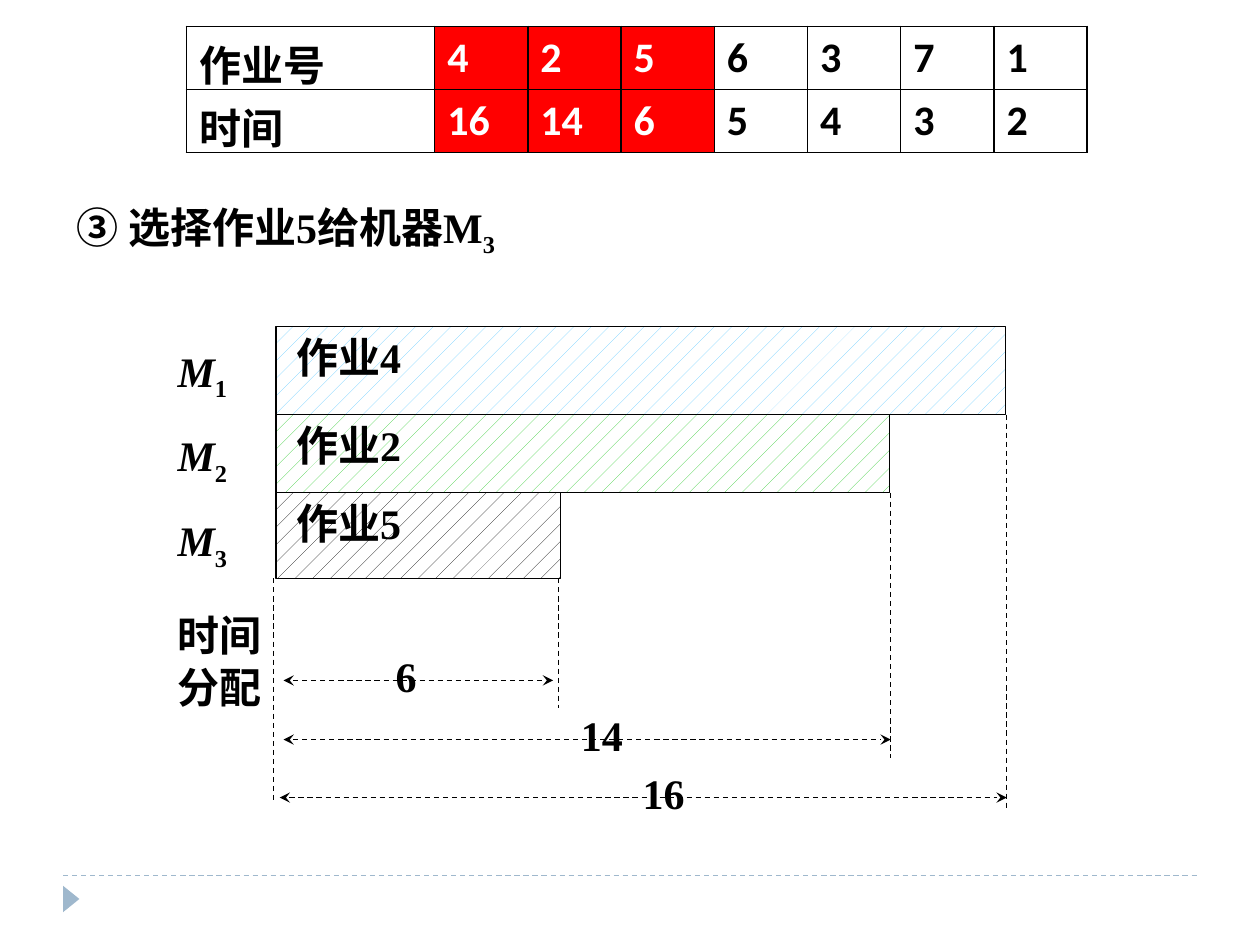
"""Build the slide that assigns job 5 to machine M3."""
import pptx
import pptx.util
import pptx.dml.color
import pptx.enum.dml
import pptx.enum.shapes
import pptx.enum.text
import pptx.oxml
import pptx.oxml.ns

TABLE = [("作业号", "4", "2", "5", "6", "3", "7", "1"),
         ("时间", "16", "14", "6", "5", "4", "3", "2")]
DONE = range(1, 4)
HEADING = [("③ 选择作业5给机器M", {}), ("3", {"sub": True})]
MACHINES = ["1", "2", "3"]
TIME_LABEL = ["时间", "分配"]
JOBS = [
    dict(name="作业4", time="16", color="sky", width=5.79, height=0.7,
         drop=(7.99, 6.41), arrow=(2.22, 7.99, 6.33), label=5.1),
    dict(name="作业2", time="14", color="green", width=4.87, height=0.62,
         drop=(7.07, 6.02), arrow=(2.25, 7.07, 5.87), label=4.61),
    dict(name="作业5", time="6", color="black", width=2.26, height=0.68,
         drop=(4.43, 5.62), arrow=(2.25, 4.39, 5.4), label=3.14),
]
COLORS = {"black": "000000", "white": "FFFFFF", "red": "FF0000",
          "sky": "66CCFF", "green": "33CC33", "rule": "9FB8CD"}
SERIF, SANS = "Times New Roman", "Calibri"
BAR_LEFT, BAR_TOP = 2.19, 2.59
inch, pt = pptx.util.Inches, pptx.util.Pt
ALIGN = pptx.enum.text.PP_ALIGN
SHAPE = pptx.enum.shapes.MSO_SHAPE


def rgb(name):
    return pptx.dml.color.RGBColor.from_string(COLORS[name])


def add_xml(parent, tag, **attrs):
    el = pptx.oxml.parse_xml(f'<a:{tag} {pptx.oxml.ns.nsdecls("a")}/>')
    for key, value in attrs.items():
        el.set(key, value)
    parent.append(el)
    return el


def add_run(p, text, font=SERIF, color="black", sub=False, italic=False):
    r = p.add_run()
    r.text = text
    r.font.name, r.font.size, r.font.bold = font, pt(24), True
    r.font.italic = italic
    r.font.color.rgb = rgb(color)
    if sub:
        r.font._element.set("baseline", "-25000")


def set_insets(tf, left=0, top=0):
    tf.margin_left, tf.margin_top = inch(left), inch(top)
    tf.margin_right = tf.margin_bottom = 0


def add_text(s, left, top, width, height):
    tf = s.shapes.add_textbox(*map(inch, (left, top, width, height))).text_frame
    tf.word_wrap = True
    return tf


def add_line(s, x1, y1, x2, y2, color="black", arrows=False):
    kind = pptx.enum.shapes.MSO_CONNECTOR.STRAIGHT
    line = s.shapes.add_connector(kind, *map(inch, (x1, y1, x2, y2)))
    line.line.color.rgb = rgb(color)
    line.line.width = pt(0.75)
    line.line.dash_style = pptx.enum.dml.MSO_LINE.DASH
    if arrows:
        for end in ("headEnd", "tailEnd"):
            add_xml(line.line._get_or_add_ln(), end, type="stealth")
    add_xml(line._element.spPr, "effectLst")


def add_footer(s):
    add_line(s, 0.5, 6.95, 9.5, 6.95, "rule")
    sp = s.shapes.add_shape(SHAPE.ISOSCELES_TRIANGLE, *map(inch, (0.46, 7.07, 0.21, 0.13)))
    sp.rotation = 90
    sp.shadow.inherit = False
    sp.fill.solid()
    sp.fill.fore_color.rgb = rgb("rule")
    sp.line.fill.background()


def add_labels(s):
    p = add_text(s, 0.51, 1.55, 8.83, 0.5).paragraphs[0]
    for text, style in HEADING:
        add_run(p, text, **style)
    tf = add_text(s, 1.41, 2.74, 0.8, 3.85)
    set_insets(tf)
    for i, number in enumerate(MACHINES):
        p = tf.add_paragraph() if i else tf.paragraphs[0]
        p.alignment = ALIGN.JUSTIFY
        p.space_before = p.space_after = pt(7.8)
        add_run(p, "M", italic=True)
        add_run(p, number, sub=True)
    for i, text in enumerate(TIME_LABEL):
        p = tf.add_paragraph()
        p.alignment, p.line_spacing = ALIGN.JUSTIFY, 1.04
        p.space_before = pt(0 if i else 12.4)
        add_run(p, text)


def add_job(s, job, top):
    bottom = top + job["height"]
    box = (BAR_LEFT, top, job["width"], job["height"])
    sp = s.shapes.add_shape(SHAPE.RECTANGLE, *map(inch, box))
    sp.shadow.inherit = False
    sp.fill.patterned()
    sp.fill.pattern = pptx.enum.dml.MSO_PATTERN.PERCENT_5
    sp.fill.fore_color.rgb = rgb(job["color"])
    sp.fill.back_color.rgb = rgb("white")
    sp.line.color.rgb, sp.line.width = rgb("black"), pt(0.75)
    tf = sp.text_frame
    tf.vertical_anchor = pptx.enum.text.MSO_ANCHOR.TOP
    set_insets(tf, 0.16, 0.04)
    x, end = job["drop"]
    add_line(s, x, bottom, x, end)
    start, stop, y = job["arrow"]
    add_line(s, start, y, stop, y, arrows=True)
    label = add_text(s, job["label"], y - 0.24, 0.37, 0.4)
    set_insets(label)
    for frame, text in ((tf, job["name"]), (label, job["time"])):
        p = frame.paragraphs[0]
        p.alignment = ALIGN.JUSTIFY
        add_run(p, text)
    return bottom


def add_job_table(s):
    rows, cols = len(TABLE), len(TABLE[0])
    box = (1.48, 0.21, 7.14, 1)
    table = s.shapes.add_table(rows, cols, *map(inch, box)).table
    table.first_row = table.horz_banding = False
    for i, column in enumerate(table.columns):
        column.width = inch(0.74 if i else 1.97)
    for i, row in enumerate(TABLE):
        for j, text in enumerate(row):
            cell = table.cell(i, j)
            cell.vertical_anchor = pptx.enum.text.MSO_ANCHOR.MIDDLE
            add_run(cell.text_frame.paragraphs[0], text, SANS,
                    "white" if j in DONE else "black")
            tcPr = cell._tc.get_or_add_tcPr()
            for side in ("lnL", "lnR", "lnT", "lnB"):
                ln = add_xml(tcPr, side, w="12700")
                add_xml(add_xml(ln, "solidFill"), "srgbClr", val=COLORS["black"])
            if j in DONE:
                cell.fill.solid()
                cell.fill.fore_color.rgb = rgb("red")
            else:
                cell.fill.background()


prs = pptx.Presentation()
prs.slide_width, prs.slide_height = inch(10), inch(7.5)
s = prs.slides.add_slide(prs.slide_layouts[6])
add_footer(s)
add_labels(s)
top = BAR_TOP
for job in JOBS:
    top = add_job(s, job, top)
add_line(s, 2.17, top, 2.17, 6.38)
add_job_table(s)
prs.save("out.pptx")
